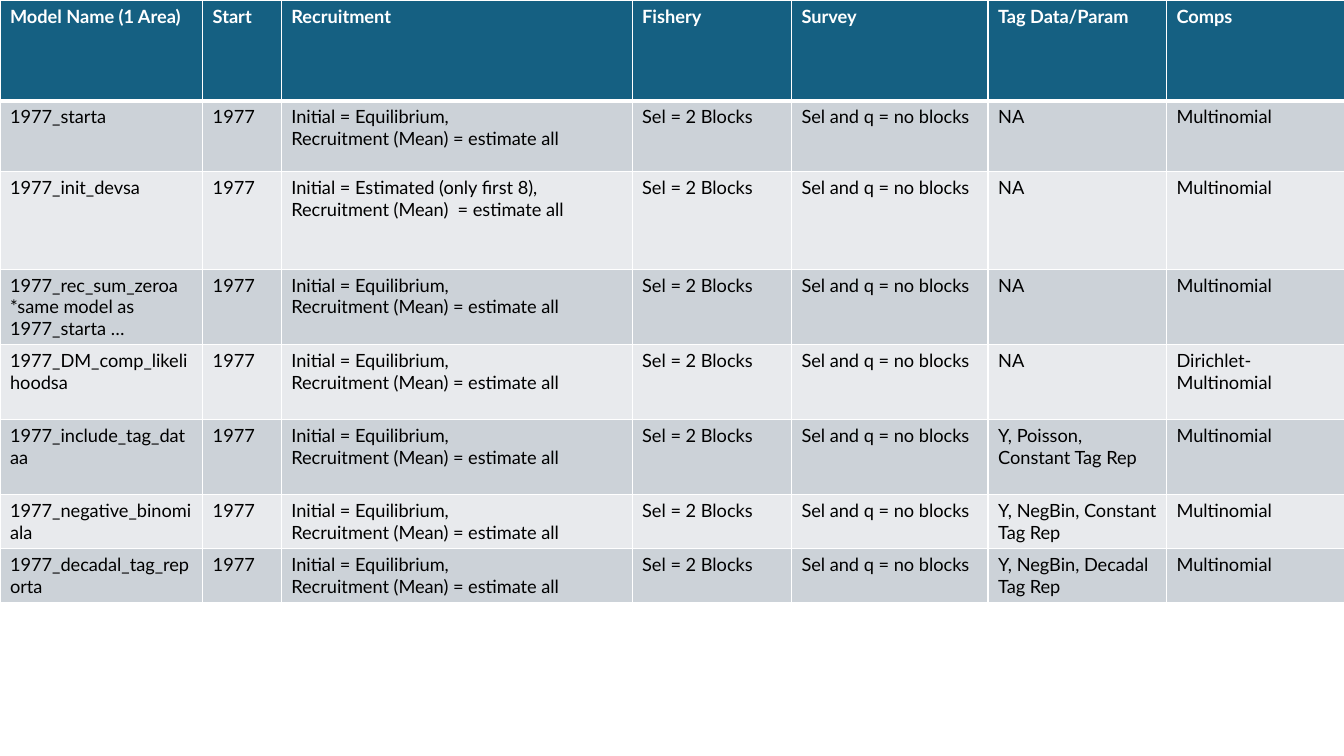
"""Build a one-slide table comparing the 1977-start, one-area models."""
from dataclasses import dataclass

from lxml.etree import SubElement
from pptx import Presentation
from pptx.dml.color import RGBColor
from pptx.oxml.ns import qn
from pptx.util import Inches, Pt

HEADERS = ["Model Name (1 Area)", "Start", "Recruitment", "Fishery", "Survey", "Tag Data/Param", "Comps"]
START, FISHERY, SURVEY = "1977", "Sel = 2 Blocks", "Sel and q = no blocks"
EQUILIBRIUM = "Initial = Equilibrium,\nRecruitment (Mean) = estimate all"
ESTIMATED = "Initial = Estimated (only first 8),\nRecruitment (Mean)  = estimate all"
MULTINOMIAL = "Multinomial"

MODELS = [
    ("1977_starta", EQUILIBRIUM, "NA", MULTINOMIAL),
    ("1977_init_devsa", ESTIMATED, "NA", MULTINOMIAL),
    ("1977_rec_sum_zeroa\n*same model as 1977_starta …", EQUILIBRIUM, "NA", MULTINOMIAL),
    ("1977_DM_comp_likelihoodsa", EQUILIBRIUM, "NA", "Dirichlet-Multinomial"),
    ("1977_include_tag_dataa", EQUILIBRIUM, "Y, Poisson, Constant Tag Rep", MULTINOMIAL),
    ("1977_negative_binomiala", EQUILIBRIUM, "Y, NegBin, Constant Tag Rep", MULTINOMIAL),
    ("1977_decadal_tag_reporta", EQUILIBRIUM, "Y, NegBin, Decadal Tag Rep", MULTINOMIAL),
]
COL_WIDTHS = [2.01, 0.78, 3.48, 1.58, 1.95, 1.77, 1.77]
ROW_HEIGHTS = [1, 0.7, 0.97, 0.75, 0.74, 0.75, 0.53, 0.53]


@dataclass(frozen=True)
class Theme:
    font: str = "Lato"
    size: int = 13
    header: str = "156082"
    bands: tuple = ("CCD2D8", "E8EAED")
    light: str = "FFFFFF"
    dark: str = "000000"
    thin: int = 1
    thick: int = 3


THEME = Theme()


def set_borders(cell, top, bottom):
    tc_pr = cell._tc.get_or_add_tcPr()
    widths = {"lnL": THEME.thin, "lnR": THEME.thin, "lnT": top, "lnB": bottom}
    for i, (side, width) in enumerate(widths.items()):
        ln = SubElement(tc_pr, qn(f"a:{side}"), w=str(Pt(width)))
        fill = SubElement(ln, qn("a:solidFill"))
        SubElement(fill, qn("a:srgbClr"), val=THEME.light)
        tc_pr.insert(i, ln)


def fill_cell(cell, text, row):
    is_header = row == 0
    color = THEME.header if is_header else THEME.bands[(row - 1) % 2]
    cell.fill.solid()
    cell.fill.fore_color.rgb = RGBColor.from_string(color)
    set_borders(cell, THEME.thick if row == 1 else THEME.thin, THEME.thick if is_header else THEME.thin)
    cell.text_frame.text = text
    for p in cell.text_frame.paragraphs:
        for r in p.runs:
            r.font.name = THEME.font
            r.font.size = Pt(THEME.size)
            r.font.bold = is_header
            r.font.color.rgb = RGBColor.from_string(THEME.light if is_header else THEME.dark)


def add_model_table(s, width):
    rows = [HEADERS] + [
        (name, START, recruitment, FISHERY, SURVEY, tags, comps)
        for name, recruitment, tags, comps in MODELS
    ]
    height = Inches(sum(ROW_HEIGHTS))
    table = s.shapes.add_table(len(rows), len(HEADERS), 0, 0, width, height).table
    for column, col_width in zip(table.columns, COL_WIDTHS):
        column.width = Inches(col_width)
    for i, (row, row_height) in enumerate(zip(table.rows, ROW_HEIGHTS)):
        row.height = Inches(row_height)
        for cell, text in zip(row.cells, rows[i]):
            fill_cell(cell, text, i)


def main():
    prs = Presentation()
    prs.slide_width, prs.slide_height = Inches(13.33), Inches(7.5)
    s = prs.slides.add_slide(prs.slide_layouts[6])
    add_model_table(s, prs.slide_width)
    prs.save("out.pptx")


if __name__ == "__main__":
    main()
